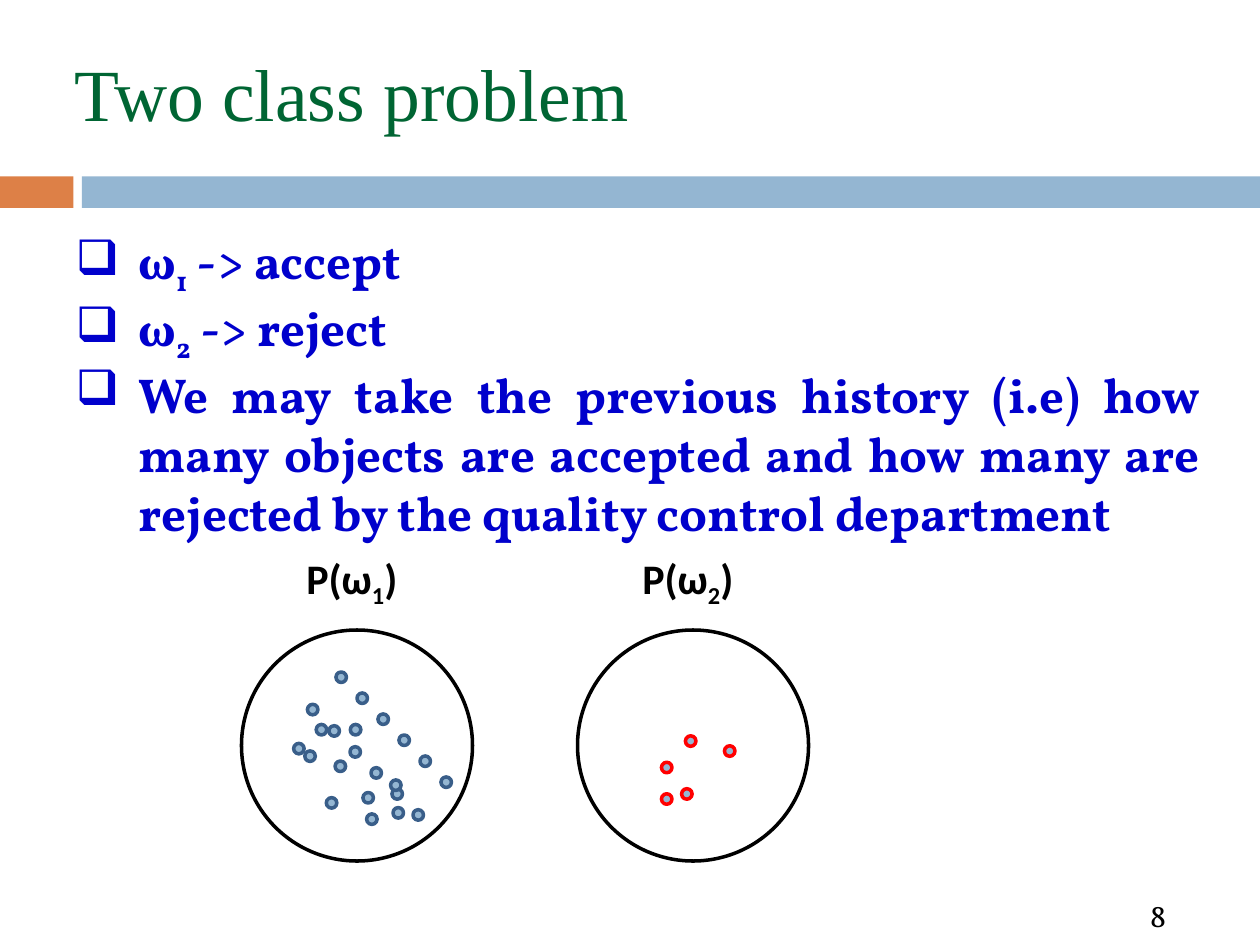
from dataclasses import dataclass

from lxml import etree
from pptx import Presentation
from pptx.dml.color import RGBColor
from pptx.enum import shapes, text
from pptx.oxml import ns
from pptx.util import Pt


@dataclass(frozen=True)
class Theme:
    title_color: str = "006533"
    body_color: str = "0000CC"
    black: str = "000000"
    white: str = "FFFFFF"
    orange: str = "DD8047"
    blue: str = "94B6D2"
    accepted: str = "395E89"
    rejected: str = "FF0000"
    title_size: int = 42
    body_size: int = 28
    label_size: int = 24
    number_size: int = 18
    line_width: int = 2


THEME = Theme()
TITLE_ONLY = 5
CIRCLE_SIZE, DOT_SIZE, STEP = 132, 6, 12


def diagonal(left, top, count):
    """Dots that go down to the right in equal steps."""
    return [(left + STEP * i, top + STEP * i) for i in range(count)]


ACCEPTED_DOTS = diagonal(192, 384, 6) + diagonal(188, 414.7, 5) + [
    (207.4, 452.9), (191.5, 434.9), (200.2, 414), (180.7, 414),
    (174.2, 429.1), (223.2, 445.7), (186.5, 455.8), (175.7, 402.5),
    (209.5, 465.1), (224.6, 461.5), (167.8, 424.8),
]
REJECTED_DOTS = [(378, 435.6), (378, 453.6), (389.5, 450.7),
                 (391.7, 420.5), (414, 426.2)]

# Each paragraph is a list of (text, is subscript)
BODY = [
    [("ω", False), ("1", True), (" -> accept", False)],
    [("ω", False), ("2", True), (" -> reject", False)],
    [("We may take the previous history (i.e) how many objects are accepted "
      "and how many are rejected by the quality control department", False)],
]

# Circle left, subscript, dots, dot outline
CLASSES = [
    (138, "1", ACCEPTED_DOTS, THEME.accepted),
    (330, "2", REJECTED_DOTS, THEME.rejected),
]


def set_attributes(target, values):
    for name, value in values.items():
        setattr(target, name, value)


def place(shape, left, top, width, height):
    set_attributes(shape, {"left": Pt(left), "top": Pt(top),
                           "width": Pt(width), "height": Pt(height)})


def set_frame(shape, inset_x=0, inset_y=0):
    set_attributes(shape.text_frame, {
        "word_wrap": True,
        "auto_size": text.MSO_AUTO_SIZE.SHAPE_TO_FIT_TEXT,
        "vertical_anchor": text.MSO_ANCHOR.TOP,
        "margin_left": Pt(inset_x), "margin_right": Pt(inset_x),
        "margin_top": Pt(inset_y), "margin_bottom": Pt(inset_y),
    })


def add_runs(paragraph, pieces, color, **font_format):
    for content, subscript in pieces:
        run = paragraph.add_run()
        run.text = content
        set_attributes(run.font, font_format)
        run.font.color.rgb = RGBColor.from_string(color)
        if subscript:
            run._r.get_or_add_rPr().set("baseline", "-25000")


def add_bullet(paragraph, symbol, color, indent):
    properties = paragraph._p.get_or_add_pPr()
    properties.set("marL", str(Pt(indent)))
    properties.set("indent", str(-Pt(indent)))
    bullet_color = etree.SubElement(properties, ns.qn("a:buClr"))
    etree.SubElement(bullet_color, ns.qn("a:srgbClr"), val=color)
    etree.SubElement(properties, ns.qn("a:buChar"), char=symbol)


def add_filled_shape(slide, kind, box, fill, line=None):
    shape = slide.shapes.add_shape(kind, *map(Pt, box))
    shape.shadow.inherit = False
    shape.fill.solid()
    shape.fill.fore_color.rgb = RGBColor.from_string(fill)
    if line:
        shape.line.color.rgb = RGBColor.from_string(line)
        shape.line.width = Pt(THEME.line_width)
    else:
        shape.line.fill.background()


def add_text_box(slide, box, inset_x=0, inset_y=0):
    shape = slide.shapes.add_textbox(*map(Pt, box))
    set_frame(shape, inset_x, inset_y)
    return shape.text_frame


def add_title(slide, content):
    title = slide.shapes.title
    place(title, 42.5, 27.4, 581.8, 51.1)
    set_frame(title)
    paragraph = title.text_frame.paragraphs[0]
    paragraph.alignment = text.PP_ALIGN.LEFT
    add_runs(paragraph, [(content, False)], THEME.title_color,
             name="Times New Roman", size=Pt(THEME.title_size))


def add_body(slide):
    frame = add_text_box(slide, (43.2, 131.8, 642.2, 169.9))
    for index, pieces in enumerate(BODY):
        paragraph = frame.add_paragraph() if index else frame.paragraphs[0]
        paragraph.alignment = text.PP_ALIGN.JUSTIFY
        add_bullet(paragraph, "❑", THEME.body_color, 36)
        add_runs(paragraph, pieces, THEME.body_color, name="Vollkorn",
                 size=Pt(THEME.body_size), bold=True)


def add_class(slide, left, subscript, dots, outline):
    oval = shapes.MSO_SHAPE.OVAL
    add_filled_shape(slide, oval, (left, 360, CIRCLE_SIZE, CIRCLE_SIZE),
                     THEME.white, THEME.black)
    for dot_left, dot_top in dots:
        add_filled_shape(slide, oval, (dot_left, dot_top, DOT_SIZE, DOT_SIZE),
                         THEME.blue, outline)
    label = add_text_box(slide, (left + 30, 312, 72, 36), 7.2, 3.6)
    add_runs(label.paragraphs[0],
             [("P(ω", False), (subscript, True), (")", False)], THEME.black,
             name="Calibri", size=Pt(THEME.label_size), bold=True)


def add_slide_number(slide, number):
    frame = add_text_box(slide, (655.2, 511.9, 23.8, 20.2))
    paragraph = frame.paragraphs[0]
    paragraph.line_spacing = 1.01
    paragraph._p.get_or_add_pPr().set("marL", str(Pt(2)))
    add_runs(paragraph, [(number, False)], THEME.black,
             name="Vollkorn", size=Pt(THEME.number_size))


def main():
    presentation = Presentation()
    set_attributes(presentation, {"slide_width": Pt(720),
                                  "slide_height": Pt(540)})
    slide = presentation.slides.add_slide(
        presentation.slide_layouts[TITLE_ONLY])

    # Title and band below it
    rectangle = shapes.MSO_SHAPE.RECTANGLE
    add_filled_shape(slide, rectangle, (0, 100.8, 42, 18), THEME.orange)
    add_filled_shape(slide, rectangle, (46.8, 100.8, 673.2, 18), THEME.blue)
    add_title(slide, "Two class problem")

    # Bulleted text
    add_body(slide)

    # Accepted and rejected objects
    for class_values in CLASSES:
        add_class(slide, *class_values)

    # Footer
    add_slide_number(slide, "8")
    presentation.save("out.pptx")


if __name__ == "__main__":
    main()
